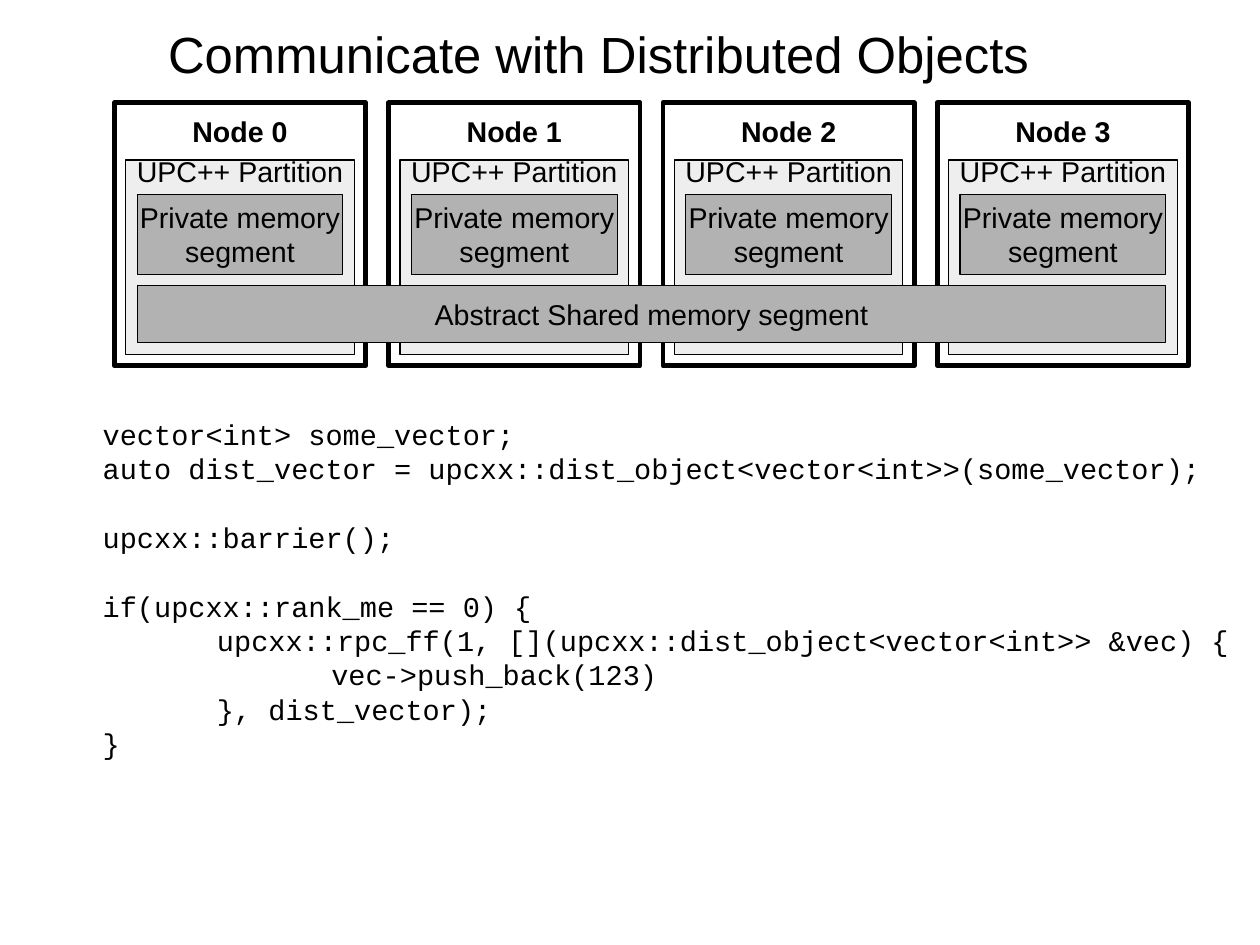
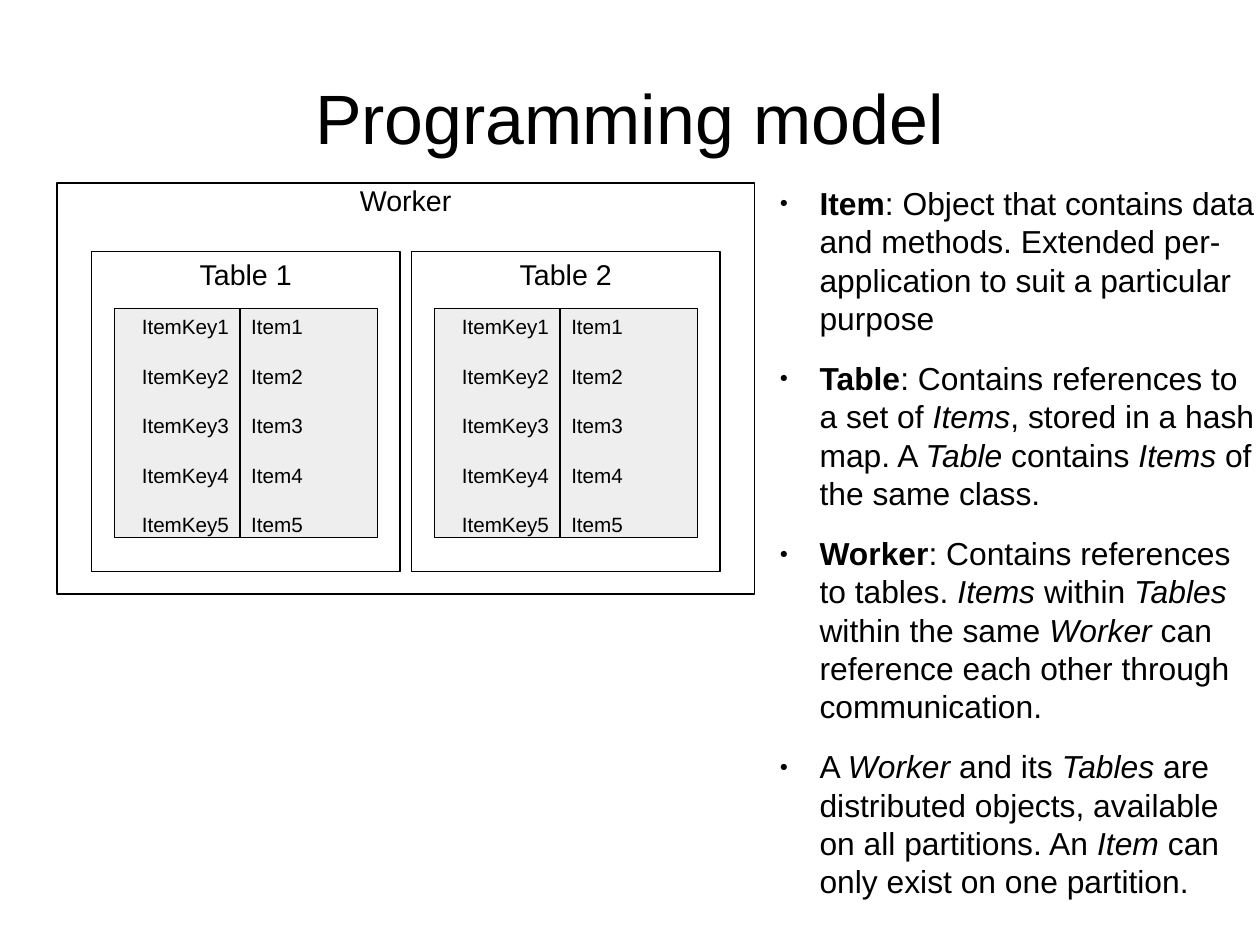
from lxml import etree
from pptx import Presentation
from pptx import util as u
from pptx.dml.color import RGBColor
from pptx.enum import shapes, text
from pptx.oxml.ns import qn

COLORS = {"ink": "000000", "paper": "FFFFFF", "pale": "EEEEEE", "memory": "B2B2B2"}
FONT, CODE_FONT = "Arial", "Courier New"
LABEL, CELL, BODY = 18, 13, 20
LEADING = 1.2
GRID = 0.1  # inches per grid unit
TOP, MIDDLE = text.MSO_ANCHOR.TOP, text.MSO_ANCHOR.MIDDLE
LEFT, CENTER, RIGHT = text.PP_ALIGN.LEFT, text.PP_ALIGN.CENTER, text.PP_ALIGN.RIGHT


def write(shape, lines, size=LABEL, font=FONT, bold=False, align=CENTER, anchor=MIDDLE,
          insets=(0, 0, 0, 0), gap=0, bullet=False):
    """Fill shape with paragraphs; ^bold^ and *italic* mark runs, leading tabs indent.

    insets are left, top, right, bottom in grid units; gap is in points, and
    may be a list with one value for each paragraph.
    """
    frame = shape.text_frame
    frame.word_wrap = True
    frame.auto_size = text.MSO_AUTO_SIZE.NONE
    frame.vertical_anchor = anchor
    (frame.margin_left, frame.margin_top,
     frame.margin_right, frame.margin_bottom) = [u.Inches(i * GRID) for i in insets]
    for number, line in enumerate(lines):
        paragraph = frame.add_paragraph() if number else frame.paragraphs[0]
        paragraph.alignment = align
        paragraph.line_spacing = u.Pt(round(size * LEADING, 2))
        before = gap[number] if isinstance(gap, list) else gap
        paragraph.space_before = u.Pt(before if number else 0)
        props = paragraph._p.get_or_add_pPr()
        depth = len(line) - len(line.lstrip("\t"))
        props.set("marL", str(u.Inches(0.47 if bullet else depth)))
        props.set("indent", str(u.Inches(-0.35 if bullet else 0)))
        if bullet:
            color = etree.SubElement(props, qn("a:buClr"))
            etree.SubElement(color, qn("a:srgbClr"), val=COLORS["ink"])
            etree.SubElement(props, qn("a:buSzPct"), val="45000")
            etree.SubElement(props, qn("a:buFont"), typeface=FONT)
            etree.SubElement(props, qn("a:buChar"), char="●")
        for b, strong in enumerate(line.lstrip("\t").split("^")):
            for i, words in enumerate(strong.split("*")):
                if words:
                    run = paragraph.add_run()
                    run.text = words
                    run.font.name, run.font.size = font, u.Pt(size)
                    run.font.bold = bold or b % 2 == 1
                    run.font.italic = i % 2 == 1
                    run.font.color.rgb = RGBColor.from_string(COLORS["ink"])


def box(slide, left, top, width, height, lines, fill="paper", line=0, band=None, **style):
    """Draw a rectangle in grid units; band is the height its label is centred in."""
    shape = slide.shapes.add_shape(shapes.MSO_SHAPE.RECTANGLE,
                                   *[u.Inches(n * GRID) for n in (left, top, width, height)])
    shape.shadow.inherit = False
    shape.fill.solid()
    shape.fill.fore_color.rgb = RGBColor.from_string(COLORS[fill])
    shape.line.color.rgb = RGBColor.from_string(COLORS["ink"])
    shape.line.width = u.Pt(line)
    if band:
        style["insets"] = (0, 0, 0, height - band)
    write(shape, lines, **style)


deck = Presentation()
deck.slide_width, deck.slide_height = u.Cm(28), u.Cm(21)

titles = [
    ("Communicate with Distributed Objects", (14.7, 2, 89.3, 5), 32, LEFT, TOP),
    ("Programming model", (5.5, 3.3, 99.2, 13.8), 44, CENTER, MIDDLE),
]
for wording, place, size, align, anchor in titles:
    slide = deck.slides.add_slide(deck.slide_layouts[5])
    title = slide.shapes.title
    title.left, title.top, title.width, title.height = [u.Inches(n * GRID) for n in place]
    write(title, [wording], size=size, align=align, anchor=anchor)
objects_slide, model_slide = deck.slides

# Distributed objects: four nodes under one shared segment
for node in range(4):
    left = 10 + 24 * node
    box(objects_slide, left, 9, 22, 23, [f"Node {node}"], line=3, band=5, bold=True)
    box(objects_slide, left + 1, 14, 20, 17, ["UPC++ Partition"], fill="pale", band=2)
    box(objects_slide, left + 2, 17, 18, 7, ["Private memory", "segment"], fill="memory")
box(objects_slide, 12, 25, 90, 5, ["Abstract Shared memory segment"], fill="memory", line=0.5)

code = [
    "vector<int> some_vector;",
    "auto dist_vector = upcxx::dist_object<vector<int>>(some_vector);",
    "upcxx::barrier();",
    "if(upcxx::rank_me == 0) {",
    "\tupcxx::rpc_ff(1, [](upcxx::dist_object<vector<int>> &vec) {",
    "\t\tvec->push_back(123)",
    "\t}, dist_vector);",
    "}",
]
code_gaps = [LABEL * LEADING if line.startswith(("upcxx", "if")) else 0 for line in code]
listing = objects_slide.shapes.add_textbox(
    u.Inches(0.8), u.Inches(3.6), u.Inches(10.22), u.Inches(3.42))
write(listing, code, font=CODE_FONT, align=LEFT, anchor=TOP,
      insets=(1, 0.5, 1, 0.5), gap=code_gaps)

# Programming model: a worker holding two tables of keys and items
box(model_slide, 5, 16, 61, 36, ["Worker"], line=1, band=3)
for table in range(2):
    left = 8 + 28 * table
    box(model_slide, left, 22, 27, 28, [f"Table {table + 1}"], line=1, band=4)
    for offset, width, prefix, align in ((2, 11, "ItemKey", RIGHT), (13, 12, "Item", LEFT)):
        box(model_slide, left + offset, 27, width, 20,
            [f"{prefix}{row}" for row in range(1, 6)], fill="pale", size=CELL,
            align=align, anchor=TOP, insets=(1, 0.5, 1, 0.5), gap=CELL * LEADING)

definitions = [
    "^Item^: Object that contains data and methods. Extended per-application to suit "
    "a particular purpose",
    "^Table^: Contains references to a set of *Items*, stored in a hash map. "
    "A *Table *contains *Items* of the same class.",
    "^Worker^: Contains references to tables. *Items* within *Tables* within the same "
    "*Worker* can reference each other through communication.",
    "A *Worker* and its *Tables *are distributed objects, available on all partitions. "
    "An *Item* can only exist on one partition.",
]
glossary = model_slide.shapes.add_textbox(
    u.Inches(6.7), u.Inches(1.61), u.Inches(4.32), u.Inches(6.09))
write(glossary, definitions, size=BODY, align=LEFT, anchor=TOP, gap=14.2, bullet=True)

deck.save("out.pptx")
